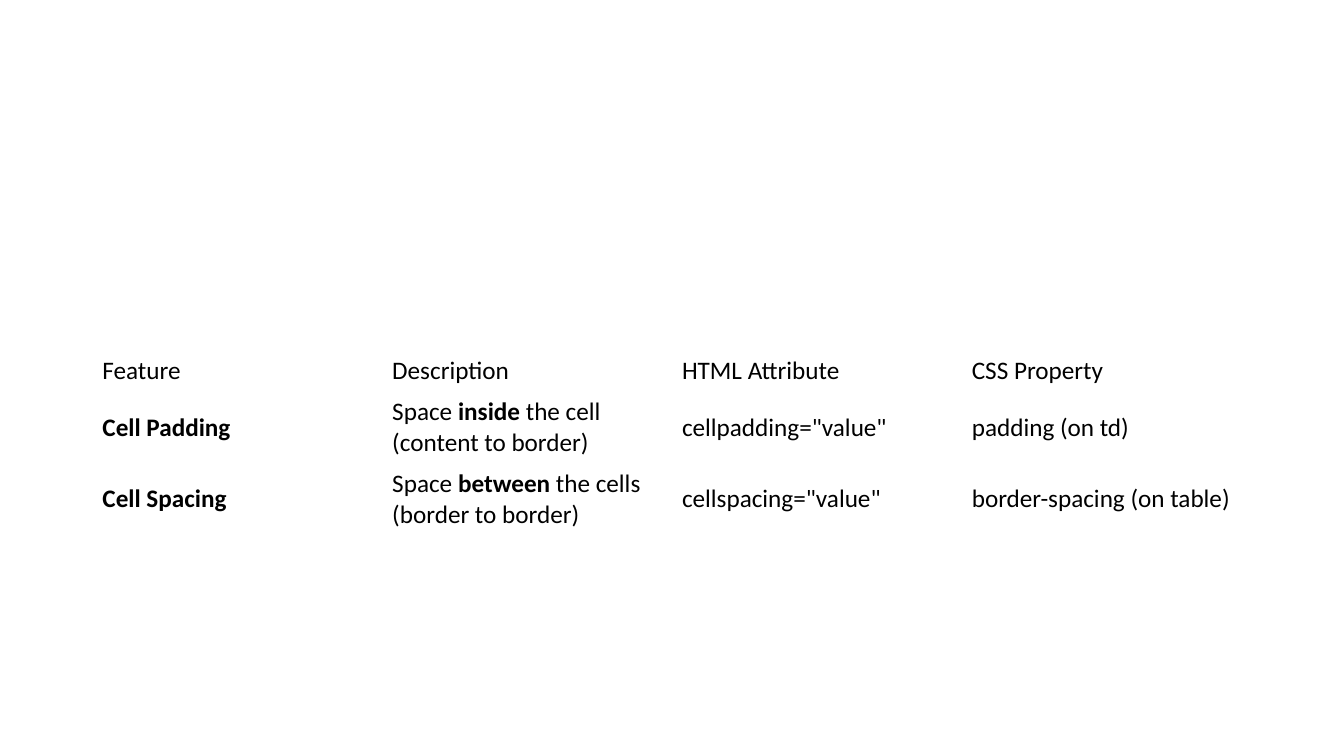
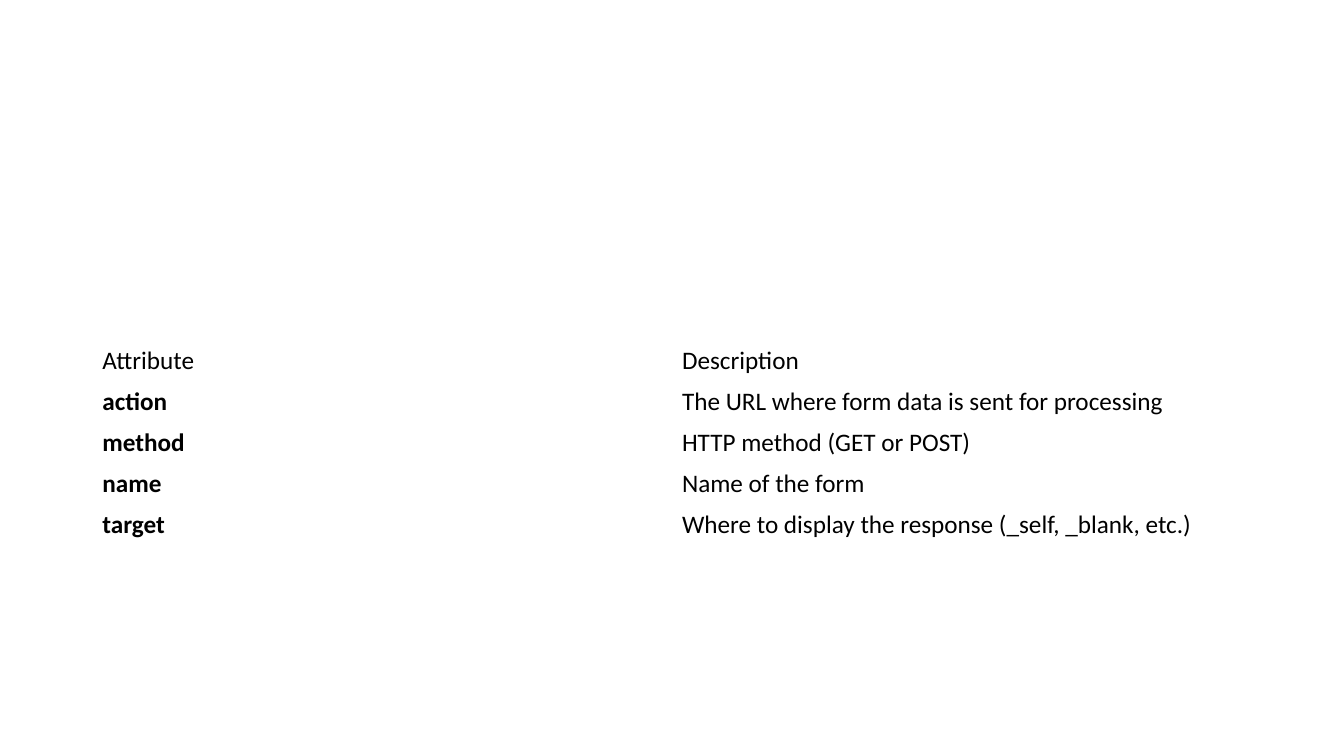
from pptx import Presentation
from pptx.dml.color import RGBColor
from pptx.enum import text
from pptx.util import Pt

FONT, SIZE, INK = "Calibri", 18, "000000"
LEFT, WIDTH = 66, 828
LINE, PAD = 22, 7.2

# Each table: top, lines of text per row, cells; asterisks enclose bold words.
TABLES = [
    (250.5, [1, 2, 2], [
        ["Feature", "Description", "HTML Attribute", "CSS Property"],
        ["*Cell Padding*", "Space *inside* the cell (content to border)",
         'cellpadding="value"', "padding (on td)"],
        ["*Cell Spacing*", "Space *between* the cells (border to border)",
         'cellspacing="value"', "border-spacing (on table)"],
    ]),
    (243.5, [1] * 5, [
        ["Attribute", "Description"],
        ["*action*", "The URL where form data is sent for processing"],
        ["*method*", "HTTP method (GET or POST)"],
        ["*name*", "Name of the form"],
        ["*target*", "Where to display the response (_self, _blank, etc.)"],
    ]),
]


def color(code):
    return RGBColor.from_string(code)


def write(cell, words):
    """Fill a plain cell, setting the words between asterisks in bold."""
    cell.fill.background()
    cell.vertical_anchor = text.MSO_ANCHOR.MIDDLE
    para = cell.text_frame.paragraphs[0]
    for i, part in enumerate(words.split("*")):
        if part:
            run = para.add_run()
            run.text = part
            run.font.name = FONT
            run.font.size = Pt(SIZE)
            run.font.bold = i % 2 == 1
            run.font.color.rgb = color(INK)


deck = Presentation()
deck.slide_width, deck.slide_height = Pt(960), Pt(540)
blank = deck.slide_layouts[6]

for top, lines, rows in TABLES:
    slide = deck.slides.add_slide(blank)
    highs = [n * LINE + PAD for n in lines]
    grid = slide.shapes.add_table(
        len(rows), len(rows[0]), Pt(LEFT), Pt(top), Pt(WIDTH), Pt(sum(highs))
    ).table
    grid.first_row = grid.horz_banding = False
    for r, row in enumerate(rows):
        grid.rows[r].height = Pt(highs[r])
        for c, words in enumerate(row):
            write(grid.cell(r, c), words)

deck.save("out.pptx")
